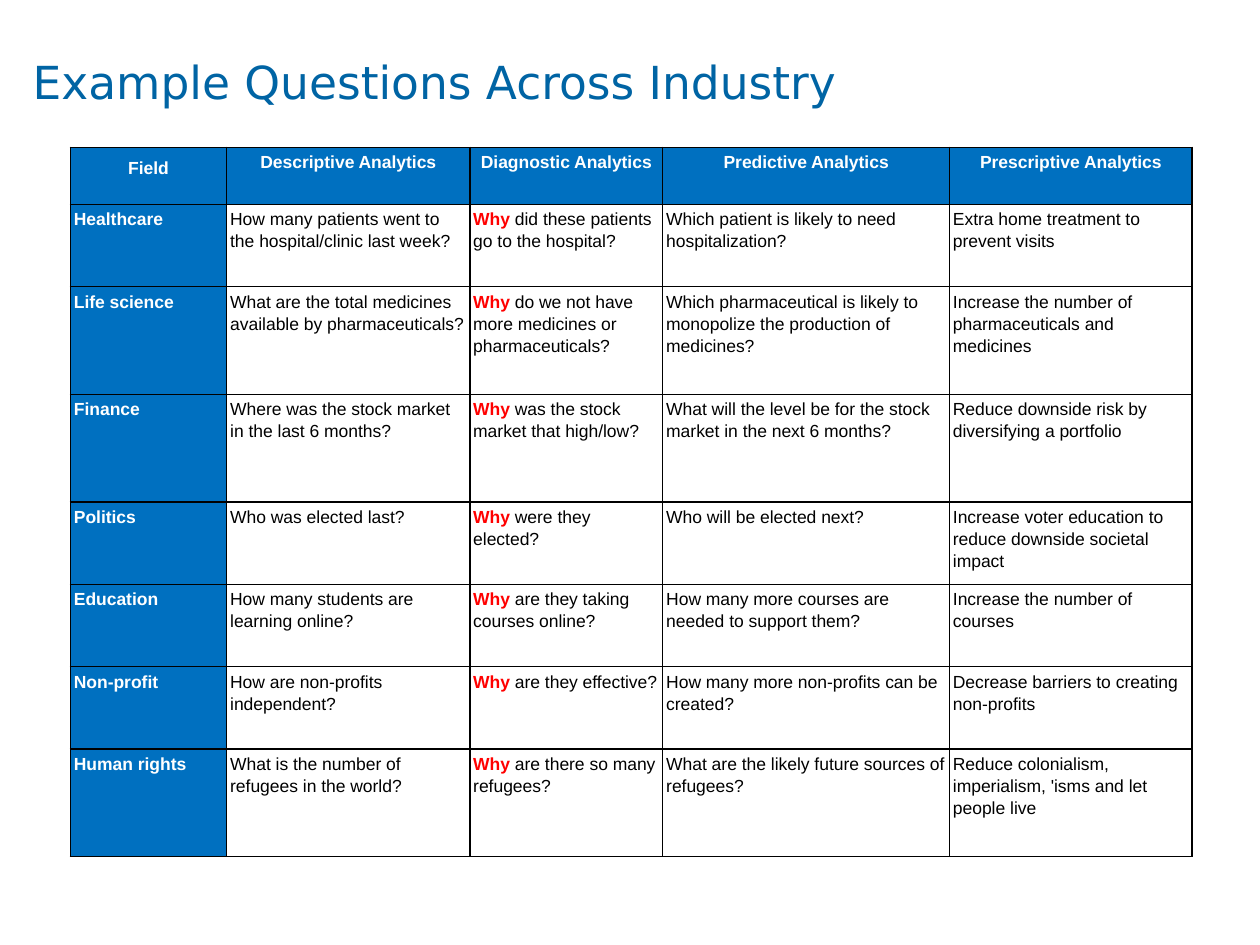
from lxml import etree
from pptx import Presentation
from pptx.dml.color import RGBColor
from pptx.enum.text import MSO_ANCHOR, PP_ALIGN
from pptx.oxml.ns import qn
from pptx.util import Cm, Pt

TOP, BOTTOM = MSO_ANCHOR.TOP, MSO_ANCHOR.BOTTOM
LEFT, CENTER = PP_ALIGN.LEFT, PP_ALIGN.CENTER

COLORS = {
    "title": "0064A4",
    "band": "0070C0",
    "band_text": "FFFFFF",
    "text": "000000",
    "key": "FF0000",
    "rule": "000000",
}
BLANK_LAYOUT = 6
KEYWORD = "Why"

COLUMN_WIDTHS = [3.15, 4.9, 3.89, 5.78, 4.89]
HEADER_ROW, SHORT_ROW, TALL_ROW = 1.15, 1.66, 2.17

HEADERS = ["Field", "Descriptive Analytics", "Diagnostic Analytics",
           "Predictive Analytics", "Prescriptive Analytics"]

# Row height, then field and its four questions
FIELDS = [
    (SHORT_ROW, ["Healthcare",
                 "How many patients went to the hospital/clinic last week?",
                 "Why did these patients go to the hospital?",
                 "Which patient is likely to need hospitalization?",
                 "Extra home treatment to prevent visits"]),
    (TALL_ROW, ["Life science",
                "What are the total medicines available by pharmaceuticals?",
                "Why do we not have more medicines or pharmaceuticals?",
                "Which pharmaceutical is likely to monopolize the production of medicines?",
                "Increase the number of pharmaceuticals and medicines"]),
    (TALL_ROW, ["Finance",
                "Where was the stock market in the last 6 months?",
                "Why was the stock market that high/low?",
                "What will the level be for the stock market in the next 6 months?",
                "Reduce downside risk by diversifying a portfolio"]),
    (SHORT_ROW, ["Politics",
                 "Who was elected last?",
                 "Why were they elected?",
                 "Who will be elected next?",
                 "Increase voter education to reduce downside societal impact"]),
    (SHORT_ROW, ["Education",
                 "How many students are learning online?",
                 "Why are they taking courses online?",
                 "How many more courses are needed to support them?",
                 "Increase the number of courses"]),
    (SHORT_ROW, ["Non-profit",
                 "How are non-profits independent?",
                 "Why are they effective?",
                 "How many more non-profits can be created?",
                 "Decrease barriers to creating non-profits"]),
    (TALL_ROW, ["Human rights",
                "What is the number of refugees in the world?",
                "Why are there so many refugees?",
                "What are the likely future sources of refugees?",
                "Reduce colonialism, imperialism, 'isms and let people live"]),
]


def add_span(para, text, size, font, color, bold=False):
    span = para.add_run()
    span.text = text
    span.font.size = Pt(size)
    span.font.name = font
    span.font.bold = bold
    span.font.color.rgb = RGBColor.from_string(COLORS[color])


def set_margins(target, size):
    target.margin_left = target.margin_right = Cm(size)
    target.margin_top = target.margin_bottom = Cm(size)


def add_borders(cell):
    properties = cell._tc.get_or_add_tcPr()
    for side in ("a:lnL", "a:lnR", "a:lnT", "a:lnB"):
        line = etree.SubElement(properties, qn(side), w=str(Pt(1)))
        fill = etree.SubElement(line, qn("a:solidFill"))
        etree.SubElement(fill, qn("a:srgbClr"), val=COLORS["rule"])


def fill_cell(cell, text, is_band, align):
    set_margins(cell, 0.07)
    cell.vertical_anchor = TOP
    add_borders(cell)
    para = cell.text_frame.paragraphs[0]
    para.alignment = align
    para.line_spacing = 1.12
    if is_band:
        cell.fill.solid()
        cell.fill.fore_color.rgb = RGBColor.from_string(COLORS["band"])
        add_span(para, text, 10, "Arial", "band_text", bold=True)
        return
    cell.fill.background()
    if text.startswith(KEYWORD + " "):
        add_span(para, KEYWORD, 10, "Arial", "key", bold=True)
        text = text.removeprefix(KEYWORD)
    add_span(para, text, 10, "Arial", "text")


def add_title(page, left, top, width, height):
    box = page.shapes.add_textbox(Cm(left), Cm(top), Cm(width), Cm(height))
    frame = box.text_frame
    frame.word_wrap = True
    frame.vertical_anchor = BOTTOM
    set_margins(frame, 0.25)
    add_span(frame.paragraphs[0], "Example Questions Across Industry",
             26, "DejaVu Sans", "title")


def add_question_table(page, left, top):
    heights = [HEADER_ROW] + [height for height, _ in FIELDS]
    rows = [HEADERS] + [texts for _, texts in FIELDS]
    table = page.shapes.add_table(
        len(rows), len(HEADERS), Cm(left), Cm(top),
        Cm(sum(COLUMN_WIDTHS)), Cm(sum(heights))).table
    table.first_row = table.horz_banding = False
    for column, width in zip(table.columns, COLUMN_WIDTHS):
        column.width = Cm(width)
    for r, (height, texts) in enumerate(zip(heights, rows)):
        table.rows[r].height = Cm(height)
        for c, text in enumerate(texts):
            fill_cell(table.cell(r, c), text, is_band=r == 0 or c == 0,
                      align=CENTER if r == 0 else LEFT)

    # The corner label sits just above the foot of its cell
    corner = table.cell(0, 0)
    corner.vertical_anchor = BOTTOM
    corner.margin_bottom = Cm(0.53)


def main():
    deck = Presentation()
    deck.slide_width, deck.slide_height = Cm(25.4), Cm(19.05)
    page = deck.slides.add_slide(deck.slide_layouts[BLANK_LAYOUT])
    add_question_table(page, 1.42, 2.97)
    add_title(page, 0.41, 0.97, 24.92, 1.47)
    deck.save("out.pptx")


if __name__ == "__main__":
    main()
